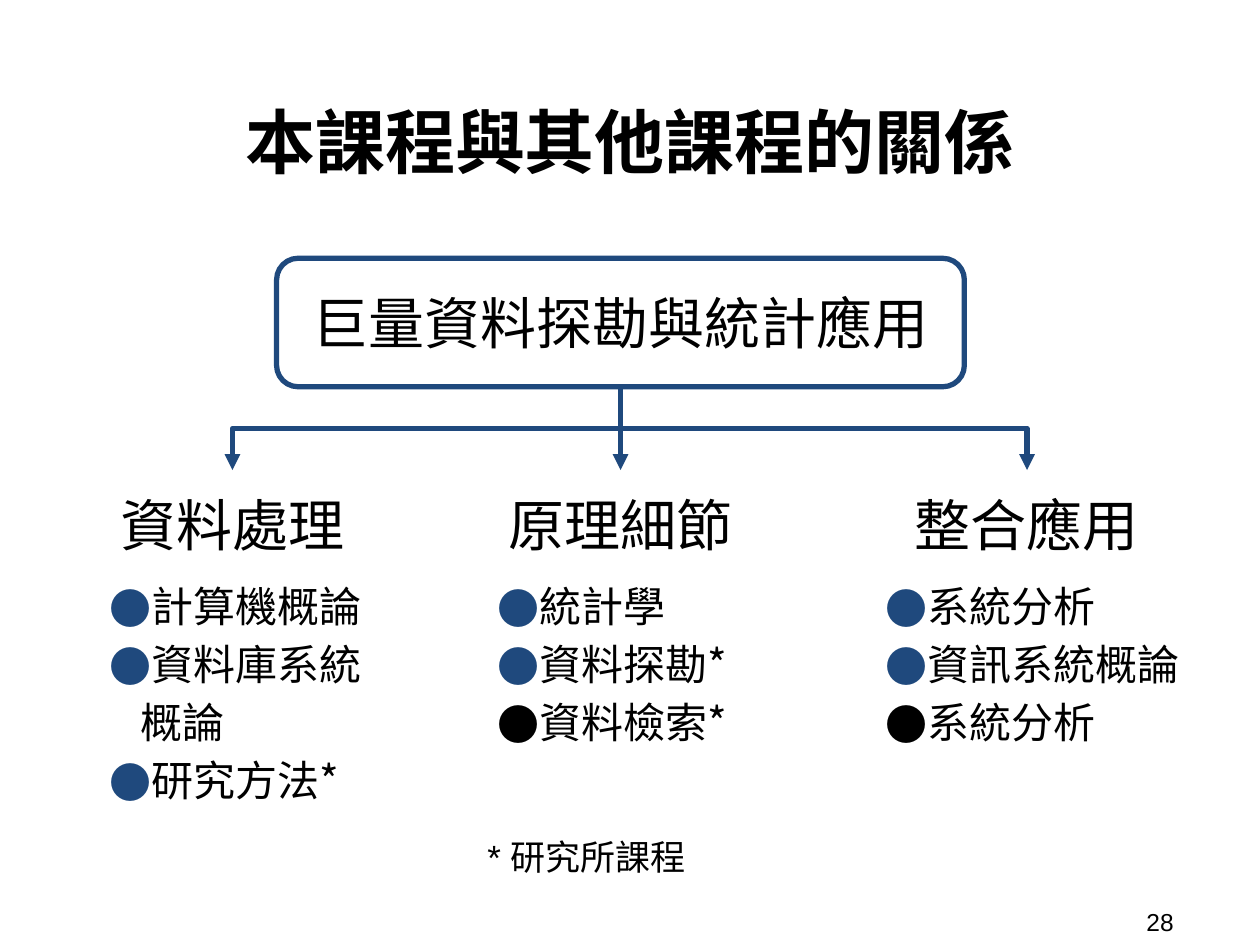
from dataclasses import dataclass

from lxml.etree import SubElement
from pptx import Presentation
from pptx.dml.color import RGBColor
from pptx.enum.shapes import MSO_CONNECTOR, MSO_SHAPE
from pptx.enum.text import MSO_ANCHOR, PP_ALIGN
from pptx.oxml.ns import qn
from pptx.util import Pt


@dataclass(frozen=True)
class Theme:
    black: RGBColor = RGBColor(0, 0, 0)
    white: RGBColor = RGBColor(255, 255, 255)
    blue: RGBColor = RGBColor(0x1F, 0x49, 0x7D)
    chinese_font: str = "Noto Sans CJK TC"
    latin_font: str = "Arial"
    title_size: int = 40
    heading_size: int = 32
    list_size: int = 24
    note_size: int = 20
    number_size: int = 14
    line_width: int = 3


THEME = Theme()
INSET = 7.2
COLUMN_LEFT, COLUMN_STEP = 37.4, 221.8
HEADING_TOP, HEADING_WIDTH, HEADING_HEIGHT = 268.6, 190.8, 62
LIST_TOP, LIST_HEIGHT = 320.4, 158.4

# Heading, list width, and list entries with their bullet colours
COLUMNS = [
    ("資料處理", 190.8, [("計算機概論", THEME.blue), ("資料庫系統概論", THEME.blue),
                     ("研究方法*", THEME.blue)]),
    ("原理細節", 190.8, [("統計學", THEME.blue), ("資料探勘*", THEME.blue),
                     ("資料檢索*", THEME.black)]),
    ("整合應用", 211.7, [("系統分析", THEME.blue), ("資訊系統概論", THEME.blue),
                     ("系統分析", THEME.black)]),
]


def write_text(paragraph, text, size, font=THEME.chinese_font, bold=False,
               align=PP_ALIGN.LEFT):
    paragraph.alignment = align
    run = paragraph.add_run()
    run.text = text
    run.font.name = font
    run.font.size = Pt(size)
    run.font.bold = bold
    run.font.color.rgb = THEME.black
    SubElement(run.font._element, qn("a:ea"), typeface=THEME.chinese_font)


def set_frame(shape, anchor, vertical_inset=INSET):
    frame = shape.text_frame
    frame.word_wrap = True
    frame.vertical_anchor = anchor
    frame.margin_left = frame.margin_right = Pt(INSET)
    frame.margin_top = frame.margin_bottom = Pt(vertical_inset)
    return frame


def add_text(slide, left, top, width, height, text, size, anchor=MSO_ANCHOR.TOP,
             vertical_inset=INSET, **text_format):
    box = slide.shapes.add_textbox(Pt(left), Pt(top), Pt(width), Pt(height))
    frame = set_frame(box, anchor, vertical_inset)
    write_text(frame.paragraphs[0], text, size, **text_format)


def add_rounded_box(slide, left, top, width, height, text, outlined=False):
    box = slide.shapes.add_shape(MSO_SHAPE.ROUNDED_RECTANGLE,
                                 Pt(left), Pt(top), Pt(width), Pt(height))
    box.shadow.inherit = False
    box.fill.solid()
    box.fill.fore_color.rgb = THEME.white
    if outlined:
        box.line.color.rgb = THEME.blue
        box.line.width = Pt(THEME.line_width)
    else:
        box.line.fill.background()
    frame = set_frame(box, MSO_ANCHOR.MIDDLE)
    write_text(frame.paragraphs[0], text, THEME.heading_size, align=PP_ALIGN.CENTER)
    return box


def add_bullet(paragraph, color):
    properties = paragraph._p.get_or_add_pPr()
    properties.set("marL", str(Pt(36)))
    properties.set("indent", str(Pt(-18)))
    bullet_color = SubElement(properties, qn("a:buClr"))
    SubElement(bullet_color, qn("a:srgbClr"), val=str(color))
    SubElement(properties, qn("a:buFont"), typeface=THEME.chinese_font)
    SubElement(properties, qn("a:buChar"), char="●")


def add_course_list(slide, left, width, courses):
    box = slide.shapes.add_textbox(Pt(left), Pt(LIST_TOP), Pt(width), Pt(LIST_HEIGHT))
    frame = set_frame(box, MSO_ANCHOR.TOP)
    for index, (course, bullet_color) in enumerate(courses):
        paragraph = frame.add_paragraph() if index else frame.paragraphs[0]
        paragraph.line_spacing = 1.15
        add_bullet(paragraph, bullet_color)
        write_text(paragraph, course, THEME.list_size)


def turn_elbow(connector):
    """Rotate an elbow a quarter turn so that it leaves and arrives vertically."""
    start_x, start_y = connector.begin_x, connector.begin_y
    end_x, end_y = connector.end_x, connector.end_y
    across, down = abs(end_x - start_x), end_y - start_y
    connector.left = (start_x + end_x - down) // 2
    connector.top = (start_y + end_y - across) // 2
    connector.width, connector.height = down, across
    goes_right = end_x > start_x
    transform = connector._element.spPr.find(qn("a:xfrm"))
    transform.set("rot", str((270 if goes_right else 90) * 60000))
    transform.set("flipH", "1" if goes_right else "0")


def add_arrow(slide, source, target, kind):
    connector = slide.shapes.add_connector(kind, 0, 0, 0, 0)
    connector.begin_connect(source, 2)
    connector.end_connect(target, 0)
    if kind == MSO_CONNECTOR.ELBOW:
        turn_elbow(connector)
    connector.line.color.rgb = THEME.blue
    connector.line.width = Pt(THEME.line_width)
    SubElement(connector.line._get_or_add_ln(), qn("a:tailEnd"), type="triangle")
    SubElement(connector._element.spPr, qn("a:effectLst"))


def main():
    presentation = Presentation()
    presentation.slide_width, presentation.slide_height = Pt(720), Pt(540)
    slide = presentation.slides.add_slide(presentation.slide_layouts[6])

    add_text(slide, 37.4, 13.7, 645.1, 97.9, "本課程與其他課程的關係", THEME.title_size,
             anchor=MSO_ANCHOR.BOTTOM, bold=True, align=PP_ALIGN.CENTER)
    course_box = add_rounded_box(slide, 158.1, 147.6, 393, 73.4,
                                 "巨量資料探勘與統計應用", outlined=True)

    kinds = (MSO_CONNECTOR.ELBOW, MSO_CONNECTOR.STRAIGHT, MSO_CONNECTOR.ELBOW)
    for index, (heading, width, courses) in enumerate(COLUMNS):
        left = COLUMN_LEFT + index * COLUMN_STEP
        heading_left = left + (width - HEADING_WIDTH) / 2
        heading_box = add_rounded_box(slide, heading_left, HEADING_TOP,
                                      HEADING_WIDTH, HEADING_HEIGHT, heading)
        add_course_list(slide, left, width, courses)
        add_arrow(slide, course_box, heading_box, kinds[index])

    add_text(slide, 271.4, 470.2, 177.8, 25.9, "* 研究所課程", THEME.note_size,
             font=THEME.latin_font)
    add_text(slide, 648, 516.2, 66.2, 20.9, "28", THEME.number_size,
             anchor=MSO_ANCHOR.MIDDLE, vertical_inset=3.6, font=THEME.latin_font)
    presentation.save("out.pptx")


if __name__ == "__main__":
    main()
